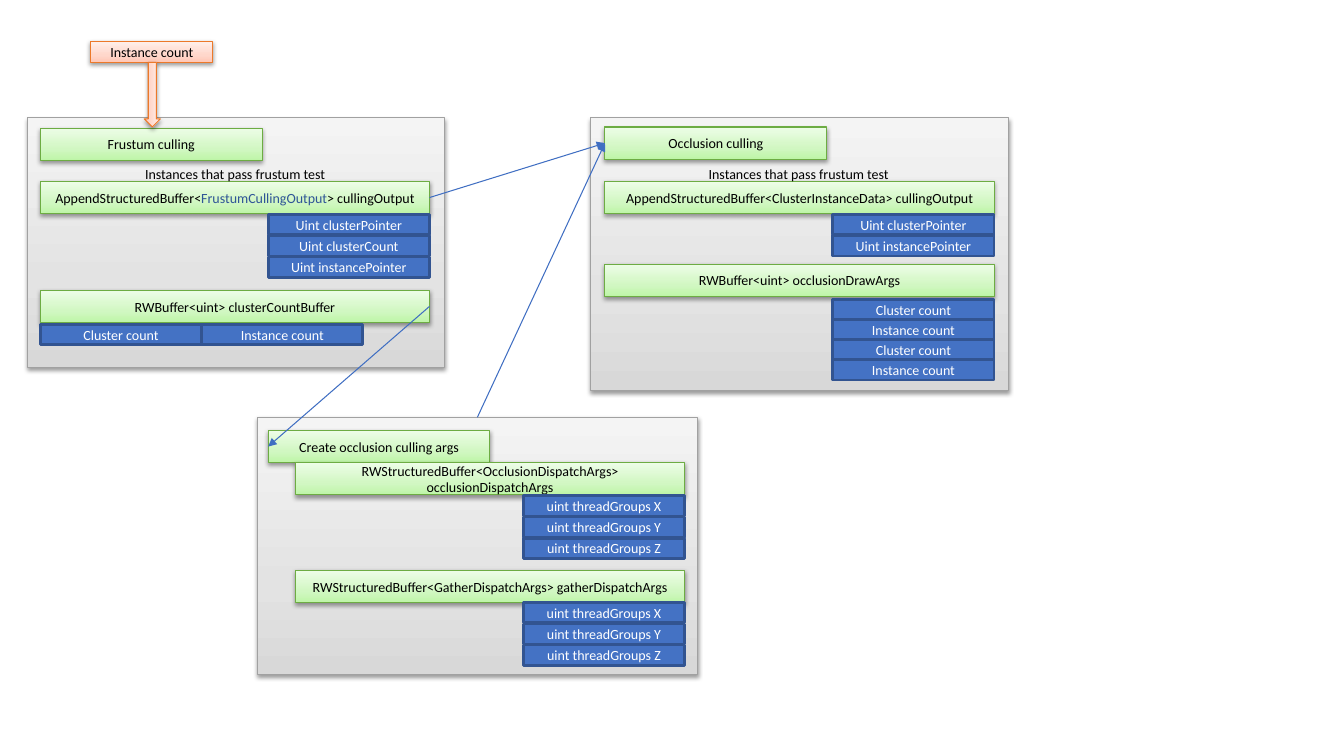
import pptx
import pptx.util
import pptx.oxml
import pptx.oxml.ns
import pptx.dml.color
import pptx.enum.shapes
import pptx.enum.text

COLORS = {
    "text": "000000", "field_text": "FFFFFF", "type_name": "2F5597",
    "field": "4472C4", "field_line": "325491", "link": "3F6EC2",
}
STYLES = {
    "panel": {"stops": ("D8D8D8", "E3E3E3", "F4F4F4"), "line": "A1A1A1"},
    "buffer": {"stops": ("BEF5A7", "D1F7C2", "EDFDE7"), "line": "6DAC43"},
    "input": {"stops": ("FFC7B6", "FFD7CB", "FFF0EB"), "line": "EC792A"},
}
STOP_SHARES = (0, 35, 100)
FONT = {"name": "Calibri", "size": pptx.util.Pt(10)}

TITLE_WIDTH, BUFFER_WIDTH, BAR_HEIGHT = 2.2, 3.86, 0.32
FIELD_WIDTH, FIELD_HEIGHT = 1.6, 0.2
CAPTION = "Instances that pass frustum test"
CAPTION_OFFSET = (1.07, 0.42, 1.99, 0.26)
THREAD_GROUPS = [f"uint threadGroups {axis}" for axis in "XYZ"]

PANELS = {
    "create": {
        "box": (2.55, 4.14, 4.37, 2.55),
        "title": ("Create occlusion culling args", 2.66, 4.27),
        "caption": None,
        "buffer_left": 2.93,
        "buffers": [
            {"name": "dispatch", "top": 4.59, "fields_top": 4.92, "step": (0, 0.21), "fields": THREAD_GROUPS,
             "text": ["RWStructuredBuffer<OcclusionDispatchArgs> occlusionDispatchArgs"]},
            {"name": "gather", "top": 5.66, "fields_top": 5.98, "step": (0, 0.21), "fields": THREAD_GROUPS,
             "text": ["RWStructuredBuffer<GatherDispatchArgs> gatherDispatchArgs"]},
        ],
    },
    "frustum": {
        "box": (0.27, 1.17, 4.14, 2.48),
        "title": ("Frustum culling", 0.4, 1.27),
        "caption": CAPTION,
        "buffer_left": 0.4,
        "buffers": [
            {"name": "frustum_output", "top": 1.8, "fields_top": 2.13, "step": (0, 0.21),
             "fields": ["Uint clusterPointer", "Uint clusterCount", "Uint instancePointer"],
             "text": ["AppendStructuredBuffer<", "FrustumCullingOutput", "> cullingOutput"]},
            {"name": "cluster_count", "top": 2.88, "fields_top": 3.22, "step": (FIELD_WIDTH, 0),
             "fields": ["Cluster count", "Instance count"],
             "text": ["RWBuffer<uint> clusterCountBuffer"]},
        ],
    },
    "occlusion": {
        "box": (5.86, 1.17, 4.14, 2.7),
        "title": ("Occlusion culling", 6, 1.26),
        "caption": CAPTION,
        "buffer_left": 6,
        "buffers": [
            {"name": "occlusion_output", "top": 1.8, "fields_top": 2.13, "step": (0, 0.21),
             "fields": ["Uint clusterPointer", "Uint instancePointer"],
             "text": ["AppendStructuredBuffer<ClusterInstanceData> cullingOutput"]},
            {"name": "draw_args", "top": 2.62, "fields_top": 2.97, "step": (0, 0.2),
             "fields": ["Cluster count", "Instance count"] * 2,
             "text": ["RWBuffer<uint> occlusionDrawArgs"]},
        ],
    },
}
TOP, LEFT, RIGHT = 0, 1, 3
LINKS = [
    ("cluster_count", RIGHT, "create_title", LEFT),
    ("frustum_output", RIGHT, "occlusion_title", LEFT),
    ("create_panel", TOP, "occlusion_title", LEFT),
]

presentation = pptx.Presentation()
presentation.slide_width = pptx.util.Inches(13.33)
presentation.slide_height = pptx.util.Inches(7.5)
slide = presentation.slides.add_slide(presentation.slide_layouts[6])
SHAPES = pptx.enum.shapes.MSO_SHAPE
placed = {}


def inches(lengths):
    return [pptx.util.Inches(length) for length in lengths]


def rgb(name):
    return pptx.dml.color.RGBColor.from_string(COLORS.get(name, name))


def add_xml(parent, tag, **attributes):
    child = pptx.oxml.ns.qn(f"a:{tag}")
    element = parent.makeelement(child, attributes)
    parent.append(element)
    return element


def write(shape, runs, color):
    paragraph = shape.text_frame.paragraphs[0]
    for index, text in enumerate(runs):
        run = paragraph.add_run()
        run.text = text
        for key, value in FONT.items():
            setattr(run.font, key, value)
        run.font.color.rgb = rgb("type_name" if index == 1 else color)
    return paragraph


def add_box(box, runs=(), color="text", kind=SHAPES.RECTANGLE):
    shape = slide.shapes.add_shape(kind, *inches(box))
    shape.shadow.inherit = False
    shape.text_frame.vertical_anchor = pptx.enum.text.MSO_ANCHOR.MIDDLE
    write(shape, runs, color).alignment = pptx.enum.text.PP_ALIGN.CENTER
    return shape


def add_styled(style, box, runs=(), kind=SHAPES.RECTANGLE):
    shape = add_box(box, runs, kind=kind)
    shape.fill.gradient()
    shape.fill.gradient_angle = 90
    properties = shape.element.spPr
    stops = properties.find(".//" + pptx.oxml.ns.qn("a:gsLst"))
    for stop in list(stops):
        stops.remove(stop)
    for share, color in zip(STOP_SHARES, STYLES[style]["stops"]):
        stop = add_xml(stops, "gs", pos=str(share * 1000))
        add_xml(stop, "srgbClr", val=color)
    shape.line.color.rgb = rgb(STYLES[style]["line"])
    shape.line.width = pptx.util.Pt(0.75)
    effects = properties.find(pptx.oxml.ns.qn("a:effectLst"))
    shadow = add_xml(effects, "outerShdw", blurRad="40000", dist="20000", dir="5400000", rotWithShape="0")
    add_xml(add_xml(shadow, "srgbClr", val="000000"), "alpha", val="38000")
    return shape


def add_field(box, text):
    shape = add_box(box, [text], "field_text")
    shape.fill.solid()
    shape.fill.fore_color.rgb = rgb("field")
    shape.line.color.rgb = rgb("field_line")
    shape.line.width = pptx.util.Pt(2)


def add_buffer(left, buffer):
    placed[buffer["name"]] = add_styled("buffer", (left, buffer["top"], BUFFER_WIDTH, BAR_HEIGHT), buffer["text"])
    across, down = buffer["step"]
    start = left if across else left + BUFFER_WIDTH - FIELD_WIDTH
    for index, text in enumerate(buffer["fields"]):
        add_field((start + index * across, buffer["fields_top"] + index * down, FIELD_WIDTH, FIELD_HEIGHT), text)


def add_link(source, source_site, target, target_site):
    link = slide.shapes.add_connector(pptx.enum.shapes.MSO_CONNECTOR.STRAIGHT, 0, 0, 0, 0)
    link.begin_connect(placed[source], source_site)
    link.end_connect(placed[target], target_site)
    link.line.color.rgb = rgb("link")
    link.line.width = pptx.util.Pt(0.75)
    add_xml(link.line._get_or_add_ln(), "tailEnd", type="triangle")
    add_xml(link._element.spPr, "effectLst")


for name, panel in PANELS.items():
    placed[f"{name}_panel"] = add_styled("panel", panel["box"])
    title, left, top = panel["title"]
    placed[f"{name}_title"] = add_styled("buffer", (left, top, TITLE_WIDTH, BAR_HEIGHT), [title])
    for buffer in panel["buffers"]:
        add_buffer(panel["buffer_left"], buffer)
    if panel["caption"]:
        x, y, width, height = CAPTION_OFFSET
        caption = slide.shapes.add_textbox(*inches((panel["box"][0] + x, panel["box"][1] + y, width, height)))
        caption.text_frame.word_wrap = False
        write(caption, [panel["caption"]], "text")

add_styled("input", (0.9, 0.41, 1.21, 0.21), ["Instance count"])
input_arrow = add_styled("input", (1.19, 0.86, 0.64, 0.16), kind=SHAPES.RIGHT_ARROW)
input_arrow.rotation = 90
for link in LINKS:
    add_link(*link)

presentation.save("out.pptx")
